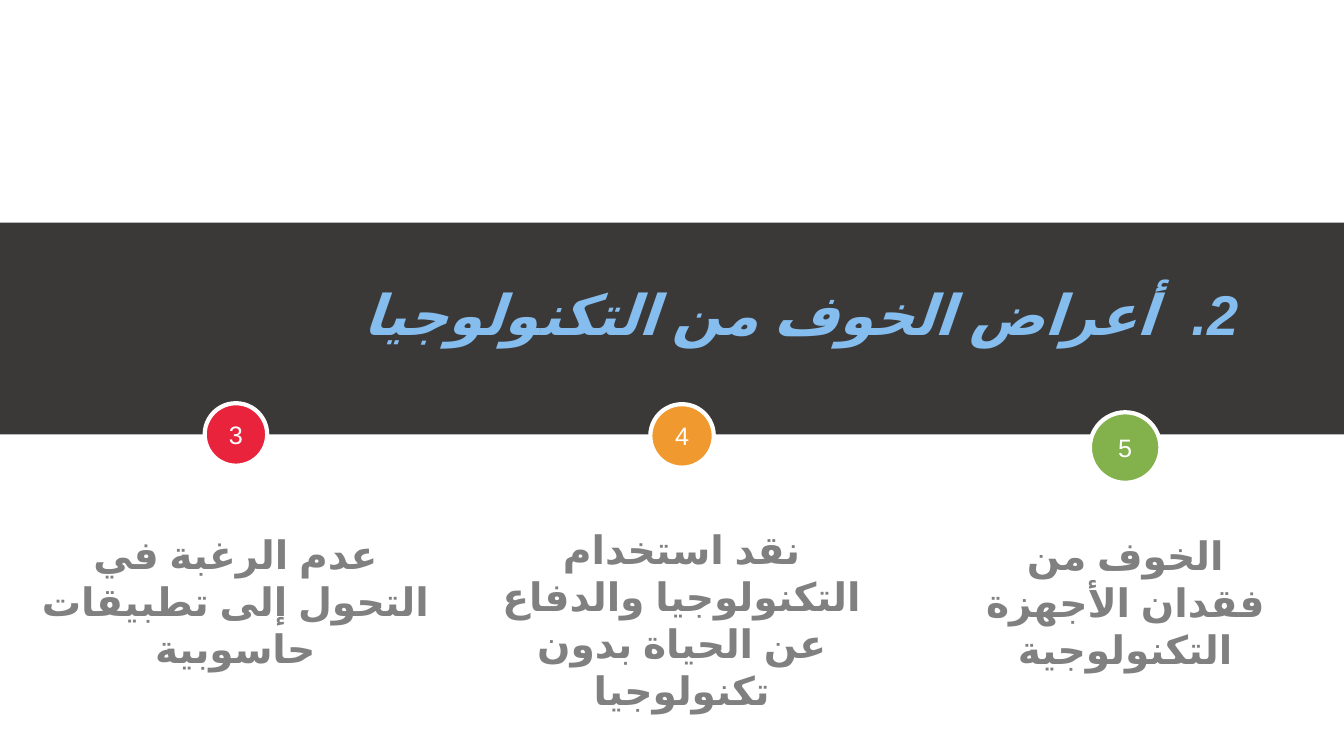
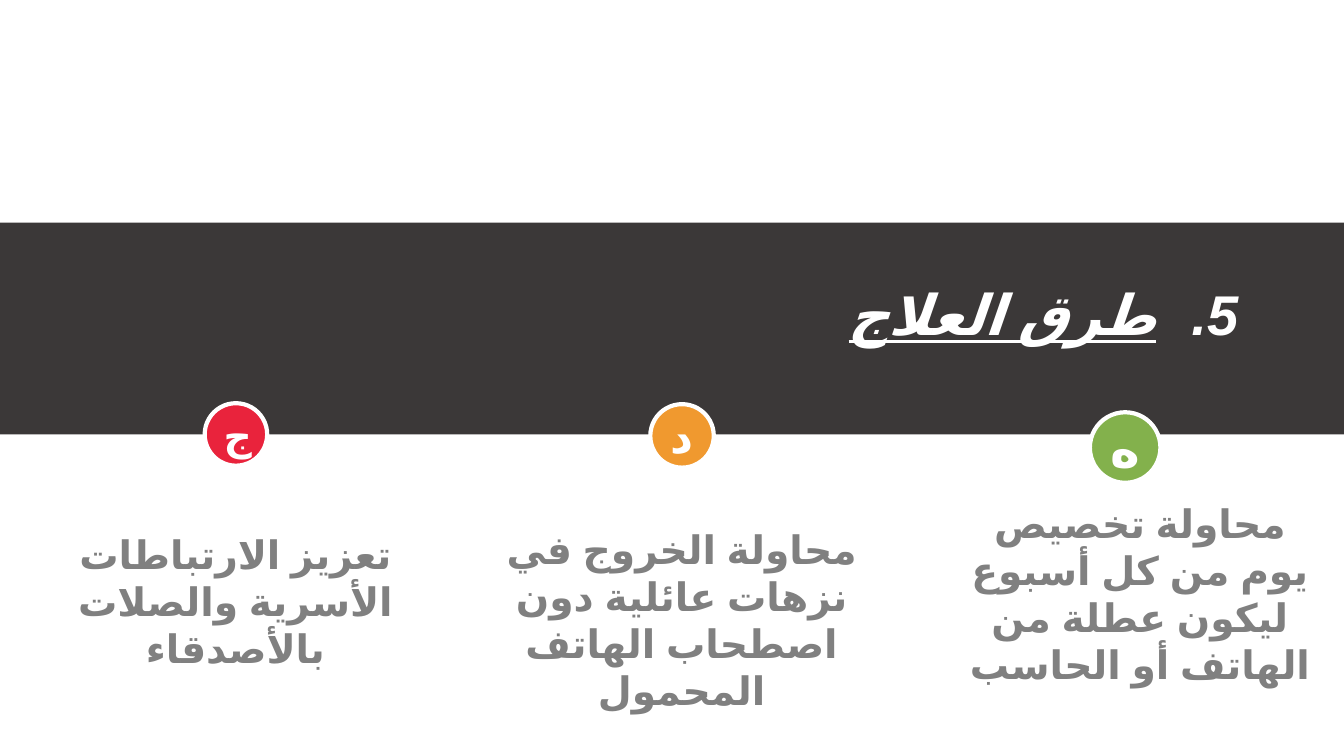
from dataclasses import dataclass
from typing import NamedTuple

from lxml import etree
from pptx import Presentation
from pptx.dml.color import RGBColor
from pptx.enum.lang import MSO_LANGUAGE_ID
from pptx.enum.shapes import MSO_SHAPE
from pptx.enum.text import MSO_ANCHOR, MSO_AUTO_SIZE, PP_ALIGN
from pptx.oxml.ns import qn
from pptx.util import Inches, Pt

RECT, OVAL = MSO_SHAPE.RECTANGLE, MSO_SHAPE.OVAL
CENTER, RIGHT = PP_ALIGN.CENTER, PP_ALIGN.RIGHT
TOP, MIDDLE = MSO_ANCHOR.TOP, MSO_ANCHOR.MIDDLE
ARABIC = MSO_LANGUAGE_ID.ARABIC
TITLE_ONLY = 5


@dataclass(frozen=True)
class Theme:
    band: str = "3B3838"
    white: str = "FFFFFF"
    blue: str = "85BEEE"
    grey: str = "808080"
    red: str = "E9233C"
    orange: str = "F0992F"
    green: str = "83B14C"
    body_font: str = "Arial"
    title_font: str = "Cabin"
    title_size: int = 40
    caption_size: int = 28
    number_size: int = 18
    ring: int = 3


class Box(NamedTuple):
    left: float
    top: float
    width: float
    height: float


class Badge(NamedTuple):
    box: Box
    color: str


class Item(NamedTuple):
    label: str
    label_format: dict
    caption: str
    box: Box


class Section(NamedTuple):
    number: int
    title: str
    title_format: dict
    items: tuple[Item, ...]


THEME = Theme()

# Shared positions
BAND = Box(0, 2.21, 13.33, 2.1)
TITLE = Box(2.12, 2.77, 10.16, 0.67)
TITLE_INDENT = 0.81
LEFT_TEXT = Box(0.37, 5.26, 3.93, 1.05)
MIDDLE_TEXT = Box(4.87, 5.21, 3.78, 1.52)
BADGES = (
    Badge(Box(2.03, 4, 0.62, 0.62), THEME.red),
    Badge(Box(6.45, 4.01, 0.63, 0.63), THEME.orange),
    Badge(Box(10.81, 4.09, 0.7, 0.7), THEME.green),
)

# Text formats
NUMBER = {"name": THEME.body_font, "size": THEME.number_size, "color": THEME.white}
LETTER = NUMBER | {"bold": True, "language_id": ARABIC}
CAPTION = {"name": THEME.body_font, "size": THEME.caption_size,
           "color": THEME.grey, "bold": True, "language_id": ARABIC}
HEADING = {"name": THEME.title_font, "size": THEME.title_size,
           "bold": True, "italic": True, "language_id": ARABIC}

# Content
SECTIONS = (
    Section(2, "أعراض الخوف من التكنولوجيا", HEADING | {"color": THEME.blue}, (
        Item("3", NUMBER, "عدم الرغبة في التحول إلى تطبيقات حاسوبية", LEFT_TEXT),
        Item("4", NUMBER, "نقد استخدام التكنولوجيا والدفاع عن الحياة بدون تكنولوجيا",
             MIDDLE_TEXT),
        Item("5", NUMBER, "الخوف من فقدان الأجهزة التكنولوجية",
             Box(9.77, 5.27, 2.78, 0.8)),
    )),
    Section(5, "طرق العلاج", HEADING | {"color": THEME.white, "underline": True}, (
        Item("ج", LETTER | {"size": 28}, "تعزيز الارتباطات الأسرية والصلات بالأصدقاء",
             LEFT_TEXT),
        Item("د", LETTER | {"size": 32},
             "محاولة الخروج في نزهات عائلية دون اصطحاب الهاتف المحمول", MIDDLE_TEXT),
        Item("ه", LETTER | {"size": 36},
             "محاولة تخصيص يوم من كل أسبوع ليكون عطلة من الهاتف أو الحاسب",
             Box(9.61, 4.95, 3.39, 2.23)),
    )),
)


def inches(box: Box) -> list:
    return [Inches(v) for v in box]


def write(p, text: str, fmt: dict) -> None:
    """Add one formatted run, with a matching font for Arabic script."""
    r = p.add_run()
    r.text = text
    for key, value in fmt.items():
        if key == "color":
            r.font.color.rgb = RGBColor.from_string(value)
        else:
            setattr(r.font, key, Pt(value) if key == "size" else value)
    cs = etree.SubElement(r.font._element, qn("a:cs"))
    cs.set("typeface", THEME.body_font)


def clear_insets(tf) -> None:
    tf.word_wrap = True
    for side in ("left", "top", "right", "bottom"):
        setattr(tf, f"margin_{side}", 0)


def add_filled(slide, kind, box: Box, color: str):
    sp = slide.shapes.add_shape(kind, *inches(box))
    sp.shadow.inherit = False
    sp.fill.solid()
    sp.fill.fore_color.rgb = RGBColor.from_string(color)
    sp.line.fill.background()
    return sp


def add_badge(slide, badge: Badge, item: Item) -> None:
    sp = add_filled(slide, OVAL, badge.box, badge.color)
    sp.line.color.rgb = RGBColor.from_string(THEME.white)
    sp.line.width = Pt(THEME.ring)
    tf = sp.text_frame
    tf.vertical_anchor = MIDDLE
    p = tf.paragraphs[0]
    p.alignment = CENTER
    write(p, item.label, item.label_format)


def add_caption(slide, item: Item) -> None:
    tf = slide.shapes.add_textbox(*inches(item.box)).text_frame
    clear_insets(tf)
    p = tf.paragraphs[0]
    p.alignment = CENTER
    write(p, item.caption, CAPTION)


def set_title(slide, section: Section) -> None:
    """Fill the title as a right-to-left numbered heading."""
    sp = slide.shapes.title
    sp.left, sp.top, sp.width, sp.height = inches(TITLE)
    tf = sp.text_frame
    clear_insets(tf)
    tf.vertical_anchor = TOP
    tf.auto_size = MSO_AUTO_SIZE.SHAPE_TO_FIT_TEXT
    p = tf.paragraphs[0]
    p.alignment = RIGHT
    pPr = p._p.get_or_add_pPr()
    indent = Inches(TITLE_INDENT)
    for key, value in {"marL": indent, "indent": -indent, "rtl": 1}.items():
        pPr.set(key, str(int(value)))
    etree.SubElement(pPr, qn("a:buFont")).set("typeface", "+mj-lt")
    number = etree.SubElement(pPr, qn("a:buAutoNum"))
    number.set("type", "arabicPeriod")
    number.set("startAt", str(section.number))
    write(p, section.title, section.title_format)


def add_layout_band(layout, slide) -> None:
    """Draw the dark band and hand it to the layout, behind every title."""
    band = add_filled(slide, RECT, BAND, THEME.band)
    band.element.nvSpPr.cNvPr.set("id", "50")
    layout.shapes.element.insert(2, band.element)


def add_section(prs, layout, section: Section):
    slide = prs.slides.add_slide(layout)
    set_title(slide, section)
    for badge, item in zip(BADGES, section.items):
        add_badge(slide, badge, item)
        add_caption(slide, item)
    return slide


def main() -> None:
    prs = Presentation()
    prs.slide_width, prs.slide_height = Inches(13.33), Inches(7.5)
    layout = prs.slide_layouts[TITLE_ONLY]
    slides = [add_section(prs, layout, section) for section in SECTIONS]
    add_layout_band(layout, slides[0])
    prs.save("out.pptx")


if __name__ == "__main__":
    main()
